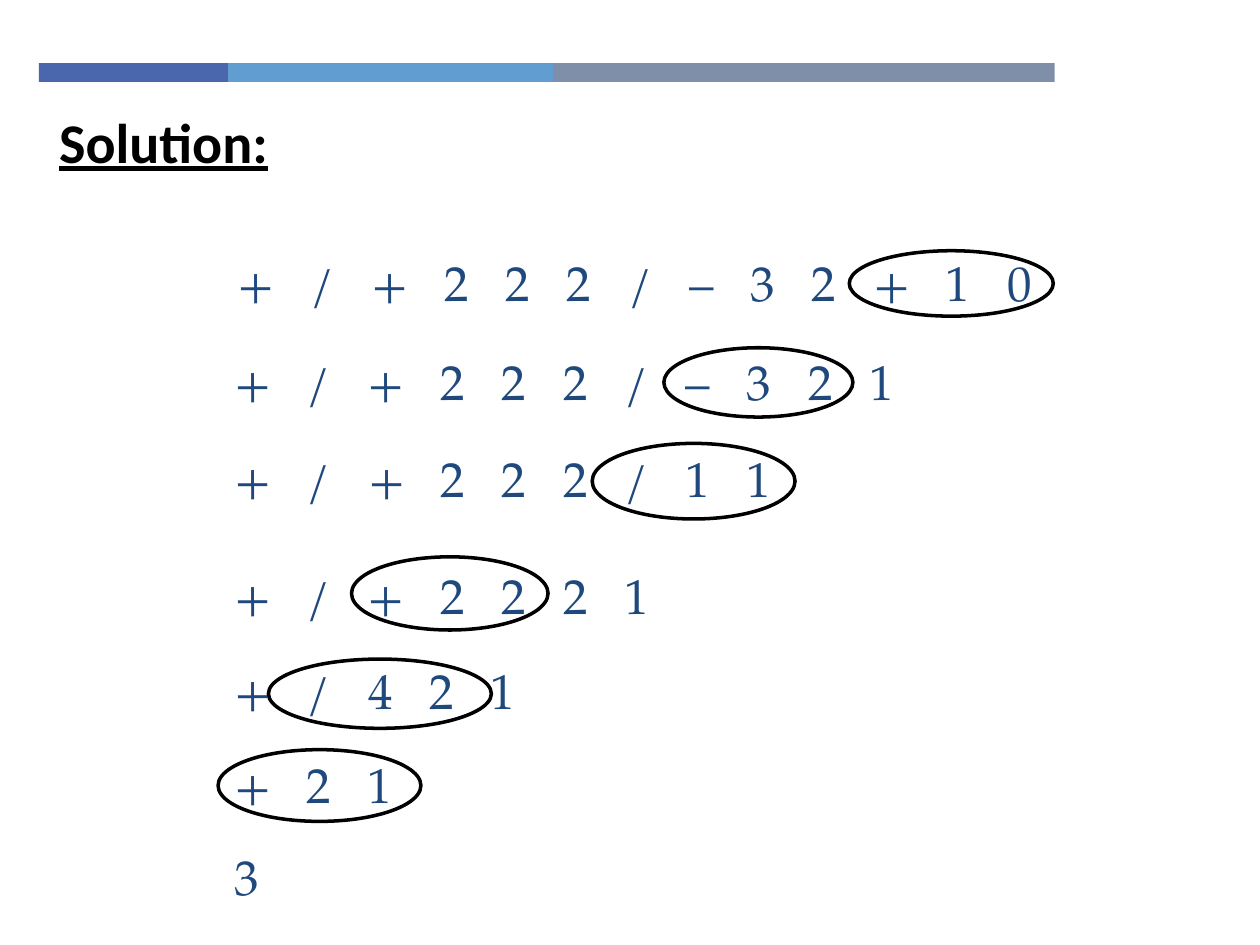
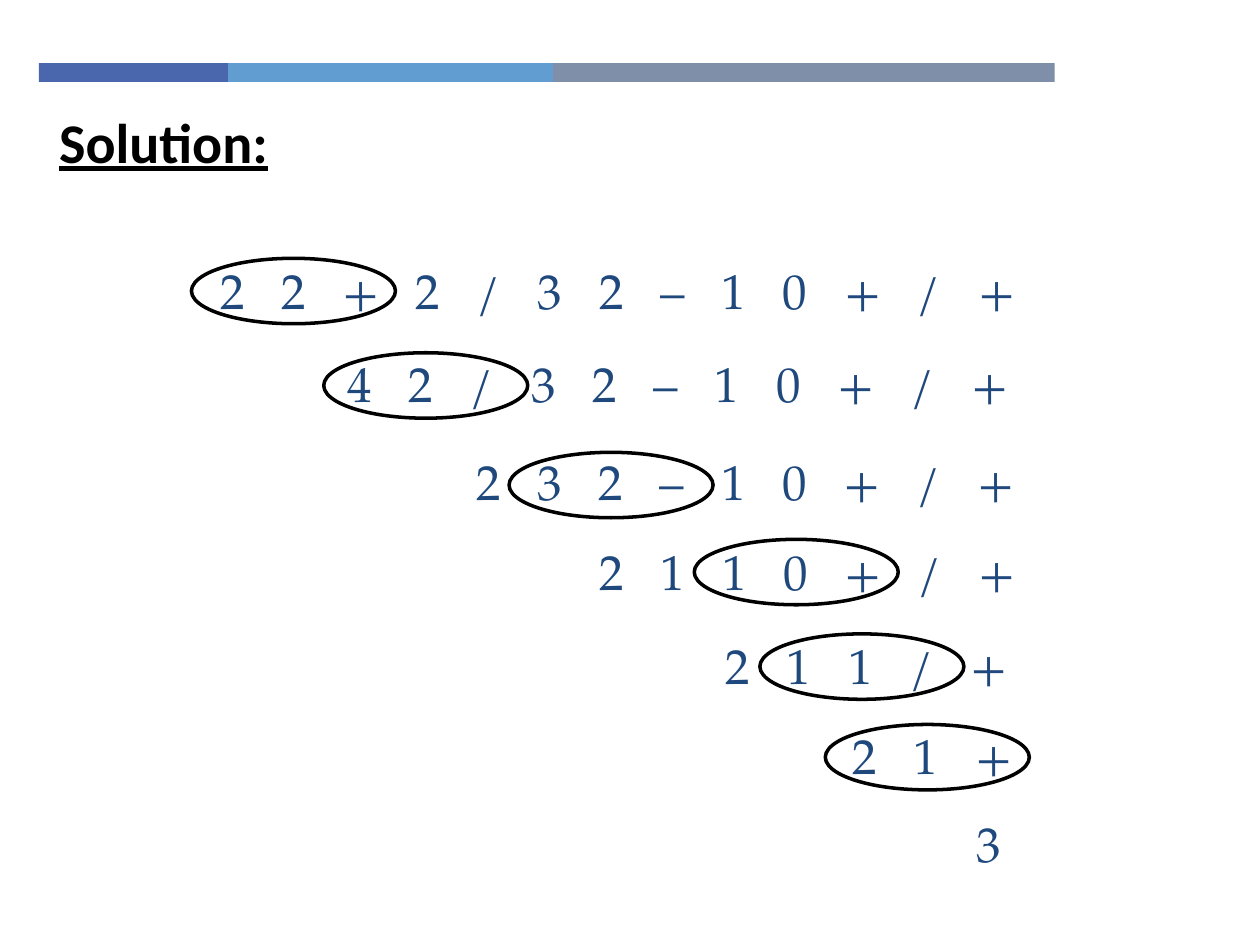
from itertools import accumulate
from lxml import etree
from pptx import Presentation
from pptx.dml.color import RGBColor
from pptx.enum.shapes import MSO_SHAPE as Preset
from pptx.enum.text import MSO_ANCHOR as Anchor, MSO_AUTO_SIZE as AutoSize, PP_ALIGN as Align
from pptx.oxml.ns import qn
from pptx.util import Pt

BLACK, NAVY = "000000", "1F497D"
BANDS = [("4A66AC", 108), ("629DD1", 185.8), ("7F8FA9", 286.6)]
TITLE_BOX = (26.6, 57.6, 515.5, 38.9)
TOKEN_GAP, PLUS_WIDTH, TOKEN_WIDTH = 21, 20.5, 14
ROW_HEIGHT = 37.4

PREFIX_AREA = (120, 140)
PREFIX_ROWS = [
    ("+ / + 2 2 2 / – 3 2 + 1 0", 8.9, 4.7, 504.7),
    ("+ / + 2 2 2 / – 3 2 1", 6.7, 57.3, 412.6),
    ("+ / + 2 2 2 / 1 1", 6.7, 112.7, 349.2),
    ("+ / + 2 2 2 1", 6.7, 179.7, 273.6),
    ("+ / 4 2 1", 6.7, 233.7, 214.6),
    ("+ 2 1", 6.7, 287.7, 141.1),
    ("3", 6.7, 340.2, 28.8),
]
PREFIX_SPACINGS = [0.9] + [1.0] * 6
PREFIX_RINGS = [
    (365.3, 3.3, 116.6, 37.4),
    (259.4, 58.7, 108, 39.6),
    (218.4, 113.4, 115.9, 43.2),
    (80.9, 178.2, 112.3, 41.8),
    (33.4, 236.6, 127.4, 39.6),
    (4.6, 288.4, 115.9, 41),
]

POSTFIX_AREA = (105, 145)
POSTFIX_ROWS = [
    ("2 2 + 2 / 3 2 – 1 0 + / +", 13.8, 4, 493.2),
    ("4 2 / 3 2 – 1 0 + / +", 86.5, 57.3, 417.6),
    ("2 3 2 – 1 0 + / +", 160, 113.5, 357.1),
    ("2 1 1 0 + / +", 230.5, 164.6, 287.3),
    ("2 1 1 / +", 302.5, 218.6, 210.2),
    ("2 1 +", 375.2, 269.7, 142.6),
    ("3", 445.8, 320.1, 48.2),
]
POSTFIX_SPACINGS = [0.9] * 7
POSTFIX_RINGS = [
    (left, top, 116.6, 37.4)
    for left, top in [(4.4, 2.6), (80, 56.6), (185.9, 113.5),
                      (291.7, 163.2), (329.2, 217.2), (366.6, 269)]
]


def color(value):
    return RGBColor.from_string(value)


def points(*lengths):
    return [Pt(length) for length in lengths]


def style_font(font, name, size, value):
    font.name = name
    font.size = Pt(size)
    font.color.rgb = color(value)


def add_bands(slide, left, top, height):
    for fill, width in BANDS:
        band = slide.shapes.add_shape(Preset.RECTANGLE, *points(left, top, width, height))
        band.shadow.inherit = False
        band.fill.solid()
        band.fill.fore_color.rgb = color(fill)
        band.line.fill.background()
        left += width


def set_title(slide, text, box):
    title = slide.shapes.title
    title.left, title.top, title.width, title.height = points(*box)
    frame = title.text_frame
    frame.text = text
    frame.auto_size = AutoSize.NONE
    frame.vertical_anchor = Anchor.TOP
    paragraph = frame.paragraphs[0]
    paragraph.alignment = Align.LEFT
    style_font(paragraph.font, "Calibri", 32, BLACK)
    paragraph.font.bold = True
    paragraph.font.underline = True


def set_token_tabs(paragraph, tokens):
    advances = [(PLUS_WIDTH if token == "+" else TOKEN_WIDTH) + TOKEN_GAP
                for token in tokens[:-1]]
    properties = paragraph._p.get_or_add_pPr()
    tabs = etree.SubElement(properties, qn("a:tabLst"))
    for position in accumulate(advances):
        etree.SubElement(tabs, qn("a:tab"), pos=str(Pt(position)), algn="l")


def add_expression(slide, text, box, spacing):
    frame = slide.shapes.add_textbox(*points(*box)).text_frame
    frame.word_wrap = True
    paragraph = frame.paragraphs[0]
    tokens = text.split()
    paragraph.text = "\t".join(tokens)
    if len(tokens) > 1:
        set_token_tabs(paragraph, tokens)
    paragraph.line_spacing = spacing
    style_font(paragraph.font, "TeX Gyre Pagella", 28, NAVY)


def add_ring(slide, box):
    ring = slide.shapes.add_shape(Preset.OVAL, *points(*box))
    ring.shadow.inherit = False
    ring.fill.background()
    ring.line.color.rgb = color(BLACK)
    ring.line.width = Pt(2)


def add_evaluation(slide, area, rows, spacings, rings):
    x, y = area
    for (text, left, top, width), spacing in zip(rows, spacings):
        add_expression(slide, text, (x + left, y + top, width, ROW_HEIGHT), spacing)
    for left, top, width, height in rings:
        add_ring(slide, (x + left, y + top, width, height))


def add_solution_slide(presentation, *evaluation):
    slide = presentation.slides.add_slide(presentation.slide_layouts[5])
    add_bands(slide, 22.3, 36, 10.8)
    set_title(slide, "Solution:", TITLE_BOX)
    add_evaluation(slide, *evaluation)


def main():
    presentation = Presentation()
    presentation.slide_width, presentation.slide_height = points(720, 540)
    add_solution_slide(presentation, PREFIX_AREA, PREFIX_ROWS, PREFIX_SPACINGS, PREFIX_RINGS)
    add_solution_slide(presentation, POSTFIX_AREA, POSTFIX_ROWS, POSTFIX_SPACINGS, POSTFIX_RINGS)
    presentation.save("out.pptx")


if __name__ == "__main__":
    main()
